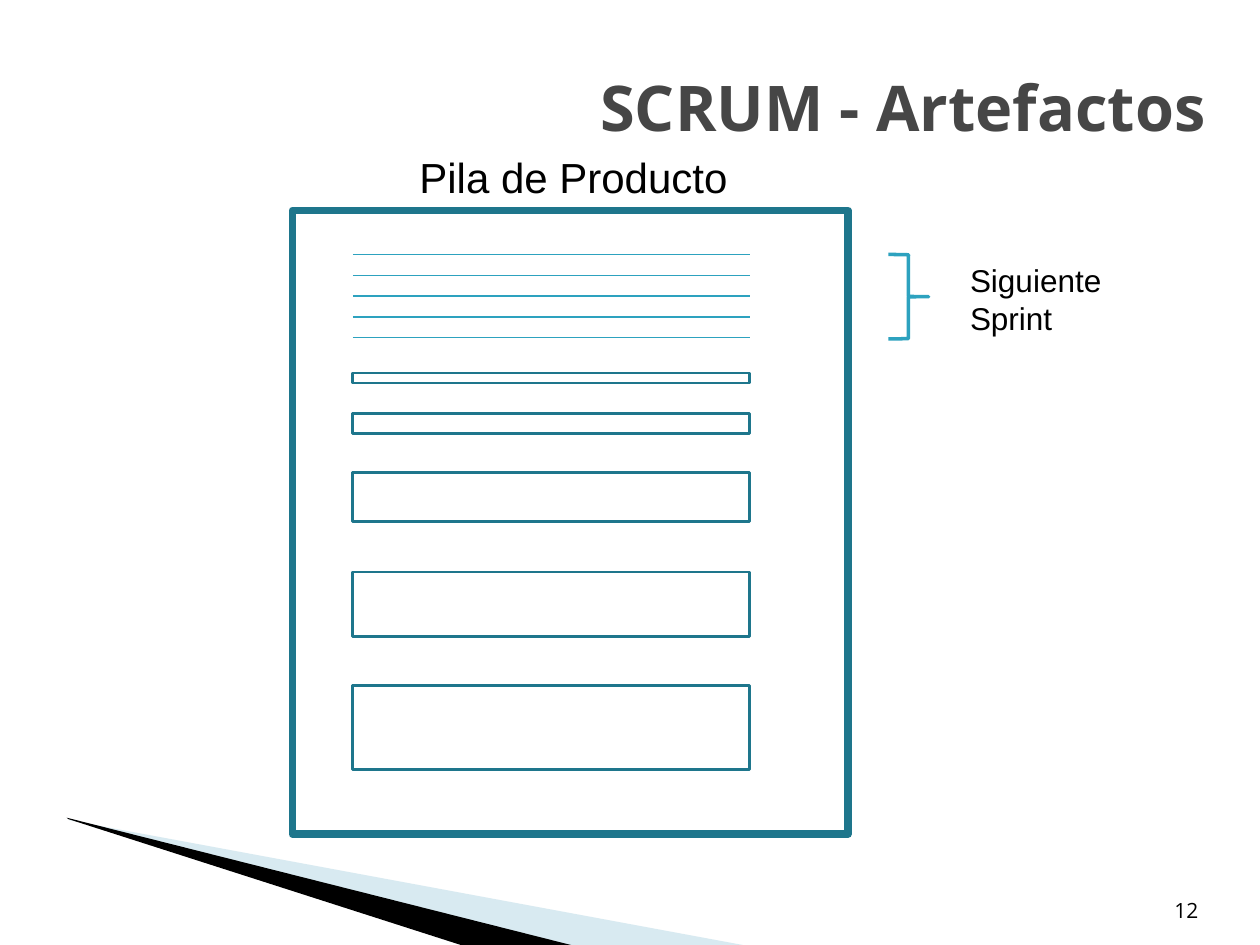
"""Build the SCRUM artefacts slide showing a product backlog."""
from lxml.etree import SubElement
from pptx import Presentation
from pptx.dml.color import RGBColor
from pptx.enum.shapes import MSO_CONNECTOR, MSO_SHAPE
from pptx.enum.text import MSO_ANCHOR as Anchor, PP_ALIGN as Align
from pptx.oxml.ns import qn
from pptx.util import Inches, Pt

BLACK = RGBColor(0x00, 0x00, 0x00)
GREY = RGBColor(0x46, 0x46, 0x46)
TEAL = RGBColor(0x1E, 0x76, 0x8C)
CYAN = RGBColor(0x2D, 0xA2, 0xBF)
PALE_BLUE = RGBColor(0x9F, 0xCB, 0xDC)

TITLE = "SCRUM - Artefactos "
TITLE_BOX = (0.29, 0.22, 9.51, 1.25)
LABELS = [
    (["12"], (8.5, 6.94, 1.11, 0.43), "Open Sans", 12, Align.RIGHT, Anchor.BOTTOM),
    (["Siguiente", "Sprint"], (7.6, 2.02, 1.25, 0.71), "Arial", 18, Align.LEFT, Anchor.TOP),
    (["Pila de Producto"], (3.23, 1.15, 2.95, 0.51), "Arial", 24, Align.LEFT, Anchor.TOP),
]
WEDGES = [
    ([(0.55, 6.51), (5.95, 7.51), (4.56, 7.51), (0.55, 6.5)], PALE_BLUE, 40),
    ([(0.53, 6.49), (4.57, 7.51), (3.72, 7.52), (0.54, 6.5)], BLACK, 100),
]
BACKLOG_BOX = (2.32, 1.67, 4.41, 4.95)
BRACE_BOX = (7.05, 2.02, 0.32, 0.67)
ITEM_LEFT, ITEM_WIDTH = 2.8, 3.15
SPRINT_TOP, SPRINT_HEIGHT, SPRINT_ITEMS = 2.02, 0.66, 5
LATER_ITEMS = [(2.96, 0.08), (3.28, 0.16), (3.75, 0.39), (4.54, 0.51), (5.44, 0.67)]


def inches(values):
    return [Inches(value) for value in values]


def write(frame, lines, font, size, color, align, anchor, bold=False):
    frame.word_wrap = True
    frame.vertical_anchor = anchor
    for index, line in enumerate(lines):
        paragraph = frame.add_paragraph() if index else frame.paragraphs[0]
        paragraph.alignment = align
        run = paragraph.add_run()
        run.text = line
        run.font.name = font
        run.font.size = Pt(size)
        run.font.bold = bold
        run.font.color.rgb = color


def add_outline(slide, kind, box, color, width):
    shape = slide.shapes.add_shape(kind, *inches(box))
    shape.shadow.inherit = False
    shape.fill.background()
    shape.line.color.rgb = color
    shape.line.width = Pt(width)
    return shape


def add_wedge(slide, points, color, opacity):
    builder = slide.shapes.build_freeform(*inches(points[0]), scale=1.0)
    builder.add_line_segments([inches(point) for point in points[1:]], close=True)
    shape = builder.convert_to_shape()
    shape.shadow.inherit = False
    shape.line.fill.background()
    shape.fill.solid()
    shape.fill.fore_color.rgb = color
    if opacity < 100:
        fill_color = shape.fill._xPr.find(qn("a:solidFill"))[0]
        SubElement(fill_color, qn("a:alpha")).set("val", str(opacity * 1000))


def add_rule(slide, top):
    ends = inches((ITEM_LEFT, top, ITEM_LEFT + ITEM_WIDTH, top))
    line = slide.shapes.add_connector(MSO_CONNECTOR.STRAIGHT, *ends)
    line.line.color.rgb = CYAN
    line.line.width = Pt(0.75)
    SubElement(line._element.spPr, qn("a:effectLst"))


def main():
    presentation = Presentation()
    presentation.slide_width, presentation.slide_height = inches((10, 7.5))
    slide = presentation.slides.add_slide(presentation.slide_layouts[5])

    for wedge in WEDGES:
        add_wedge(slide, *wedge)

    title = slide.shapes.title
    title.left, title.top, title.width, title.height = inches(TITLE_BOX)
    write(title.text_frame, [TITLE], "Open Sans", 36, GREY, Align.RIGHT, Anchor.MIDDLE, True)

    add_outline(slide, MSO_SHAPE.RECTANGLE, BACKLOG_BOX, TEAL, 4.33)
    for index in range(SPRINT_ITEMS):
        add_rule(slide, SPRINT_TOP + index * SPRINT_HEIGHT / (SPRINT_ITEMS - 1))
    for top, height in LATER_ITEMS:
        box = (ITEM_LEFT, top, ITEM_WIDTH, height)
        add_outline(slide, MSO_SHAPE.RECTANGLE, box, TEAL, 1.5)

    brace = add_outline(slide, MSO_SHAPE.RIGHT_BRACE, BRACE_BOX, CYAN, 2)
    brace.adjustments[0] = 0.01
    brace.adjustments[1] = 0.5

    for lines, box, font, size, align, anchor in LABELS:
        label = slide.shapes.add_textbox(*inches(box))
        write(label.text_frame, lines, font, size, BLACK, align, anchor)

    presentation.save("out.pptx")


if __name__ == "__main__":
    main()
